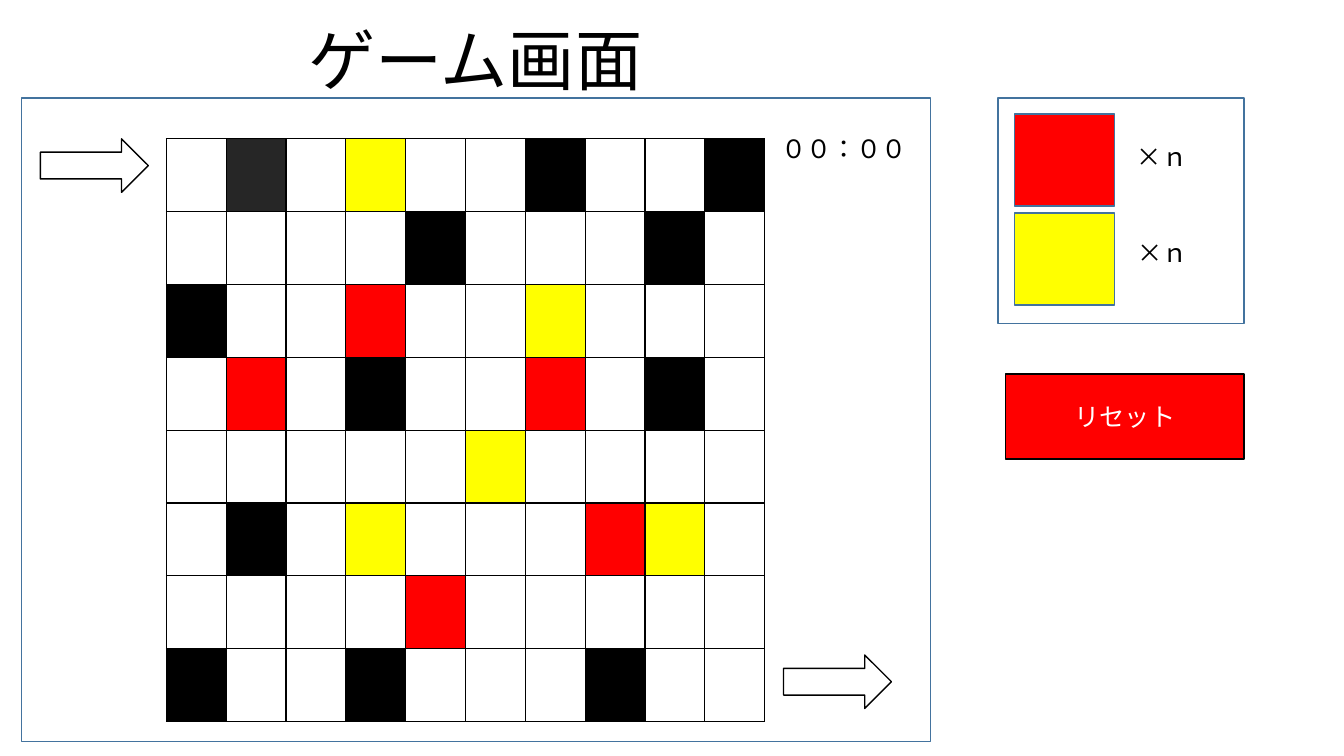
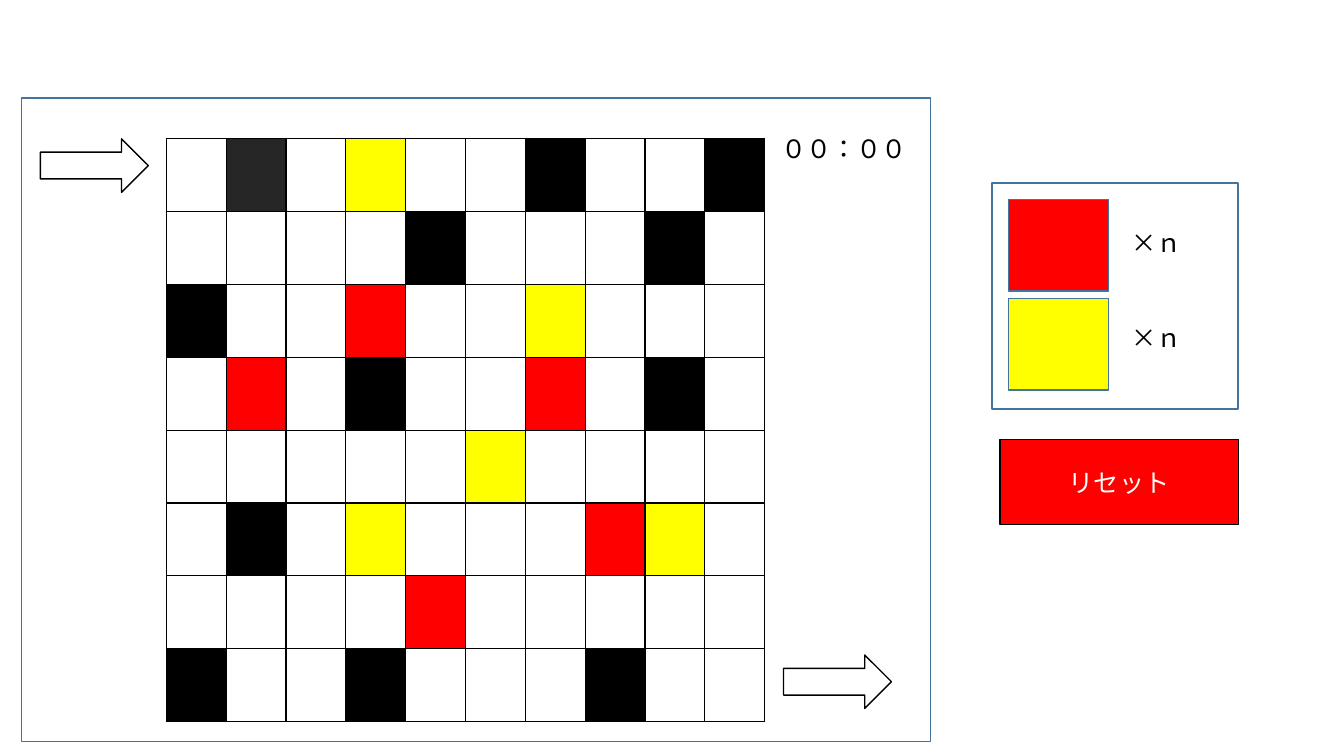
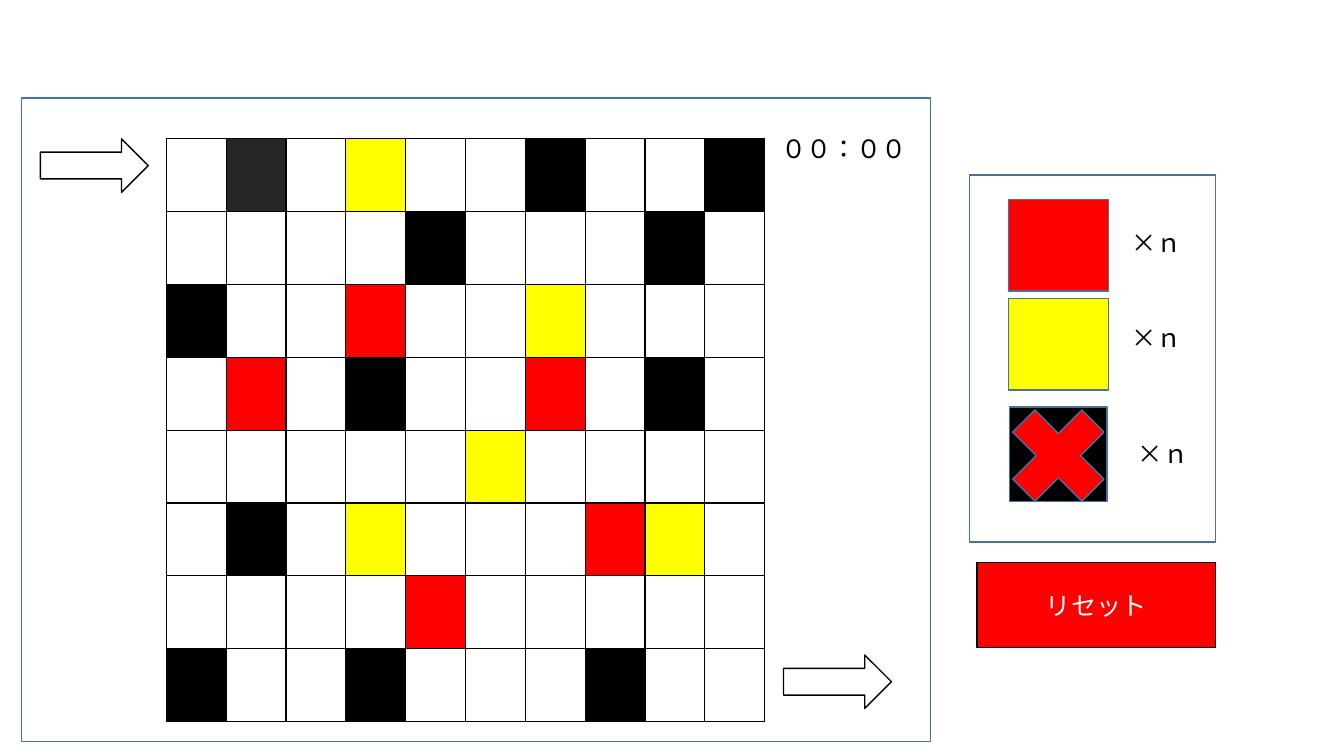
from dataclasses import dataclass
from typing import NamedTuple, Optional

from lxml.etree import SubElement
from pptx import Presentation
from pptx.dml.color import RGBColor
from pptx.enum.shapes import MSO_SHAPE
from pptx.enum.text import MSO_ANCHOR, MSO_AUTO_SIZE, PP_ALIGN
from pptx.oxml.ns import qn
from pptx.shapes.autoshape import Shape
from pptx.slide import Slide
from pptx.text.text import TextFrame
from pptx.util import Emu, Inches, Pt

COLORS = {
    "white": "FFFFFF",
    "black": "000000",
    "charcoal": "262626",
    "red": "FF0000",
    "yellow": "FFFF00",
    "outline": "43739E",
}
FONT = "Noto Sans CJK JP"
SLIDE_WIDTH = Inches(13.33)
SLIDE_HEIGHT = Inches(7.5)
CLOCK_TEXT = "\uff10\uff10\uff1a\uff10\uff10"
COUNT_TEXT = "\u00d7\uff4e"

TILE_COLORS = {".": "white", "D": "charcoal", "B": "black", "R": "red", "Y": "yellow"}
MAZE = (
    ".D.Y..B..B",
    "....B...B.",
    "B..R..Y...",
    ".R.B..R.B.",
    ".....Y....",
    ".B.Y...RY.",
    "....R.....",
    "B..B...B..",
)


class Area(NamedTuple):
    """Left, top, width and height in percent of the slide."""

    left: float
    top: float
    width: float
    height: float

    def to_emu(self) -> tuple[Emu, Emu, Emu, Emu]:
        return (
            Emu(round(SLIDE_WIDTH * self.left / 100)),
            Emu(round(SLIDE_HEIGHT * self.top / 100)),
            Emu(round(SLIDE_WIDTH * self.width / 100)),
            Emu(round(SLIDE_HEIGHT * self.height / 100)),
        )


@dataclass(frozen=True)
class TallyItem:
    color: str
    swatch: Area
    label_left: float
    label_top: float
    cross: Optional[Area] = None


@dataclass(frozen=True)
class GameScreen:
    panel: Area
    items: tuple[TallyItem, ...]
    reset_left: float
    reset_top: float
    title: str = ""


BOARD = Area(1.58, 12.95, 67.65, 85.15)
MAZE_AREA = Area(12.38, 18.36, 44.53, 77.07)
CLOCK = Area(57.38, 16.93, 11.85, 5.6)
TITLE = Area(6, 1.8, 58.73, 12.13)
ENTRANCE = Area(3, 18.36, 8.03, 7.07)
EXIT = ENTRANCE._replace(left=58.3, top=86.64)


def color_of(name: str) -> RGBColor:
    return RGBColor.from_string(COLORS[name])


def add_run(frame: TextFrame, text: str, size: int, color: str, align: PP_ALIGN) -> None:
    paragraph = frame.paragraphs[0]
    paragraph.alignment = align
    run = paragraph.add_run()
    run.text = text
    run.font.size = Pt(size)
    run.font.color.rgb = color_of(color)
    run.font.name = FONT
    SubElement(run._r.get_or_add_rPr(), qn("a:ea"), typeface=FONT)


def add_label(
    slide: Slide, area: Area, text: str, size: int = 18, align: PP_ALIGN = PP_ALIGN.LEFT
) -> None:
    frame = slide.shapes.add_textbox(*area.to_emu()).text_frame
    frame.word_wrap = True
    frame.auto_size = MSO_AUTO_SIZE.SHAPE_TO_FIT_TEXT
    add_run(frame, text, size, "black", align)


def add_block(
    slide: Slide,
    area: Area,
    fill: str,
    line: str = "outline",
    kind: MSO_SHAPE = MSO_SHAPE.RECTANGLE,
) -> Shape:
    block = slide.shapes.add_shape(kind, *area.to_emu())
    block.shadow.inherit = False
    block.fill.solid()
    block.fill.fore_color.rgb = color_of(fill)
    block.line.color.rgb = color_of(line)
    block.line.width = Pt(1)
    return block


def add_maze(slide: Slide) -> None:
    maze = slide.shapes.add_table(len(MAZE), len(MAZE[0]), *MAZE_AREA.to_emu()).table
    maze.first_row = False
    maze.horz_banding = False
    for row, tiles in enumerate(MAZE):
        for column, tile in enumerate(tiles):
            cell = maze.cell(row, column)
            properties = cell._tc.get_or_add_tcPr()
            for side in ("a:lnL", "a:lnR", "a:lnT", "a:lnB"):
                border = SubElement(properties, qn(side), w=str(Pt(1)))
                border_fill = SubElement(border, qn("a:solidFill"))
                SubElement(border_fill, qn("a:srgbClr"), val=COLORS["black"])
            cell.fill.solid()
            cell.fill.fore_color.rgb = color_of(TILE_COLORS[tile])


def add_tally(slide: Slide, screen: GameScreen) -> None:
    add_block(slide, screen.panel, "white")
    for item in screen.items:
        add_block(slide, item.swatch, item.color)
        if item.cross:
            add_block(slide, item.cross, "red", kind=MSO_SHAPE.MATH_MULTIPLY)
        add_label(slide, Area(item.label_left, item.label_top, 8.78, 5.33), COUNT_TEXT)


def add_reset(slide: Slide, left: float, top: float) -> None:
    reset = add_block(slide, Area(left, top, 17.73, 11.2), "red", "black")
    reset.text_frame.vertical_anchor = MSO_ANCHOR.MIDDLE
    add_run(reset.text_frame, "リセット", 18, "white", PP_ALIGN.CENTER)


def add_screen(slide: Slide, screen: GameScreen) -> None:
    add_block(slide, BOARD, "white")
    add_tally(slide, screen)
    add_maze(slide)
    add_label(slide, CLOCK, CLOCK_TEXT)
    for gate in (ENTRANCE, EXIT):
        add_block(slide, gate, "white", "black", MSO_SHAPE.RIGHT_ARROW)
    if screen.title:
        add_label(slide, TITLE, screen.title, 48, PP_ALIGN.CENTER)
    add_reset(slide, screen.reset_left, screen.reset_top)


def color_items(left: float, top: float) -> tuple[TallyItem, ...]:
    red = Area(left, top, 7.43, 12.13)
    yellow = red._replace(top=top + 13.1)
    return (
        TallyItem("red", red, left + 8.38, top + 3),
        TallyItem("yellow", yellow, left + 8.42, yellow.top + 2.53),
    )


MINE = TallyItem(
    "black", Area(75.1, 53.84, 7.28, 12.53), 83.93, 57.33, Area(73.8, 51.47, 9.9, 17.6)
)
SCREENS = (
    GameScreen(
        Area(74.25, 12.95, 18.3, 29.87), color_items(75.48, 15.1), 74.83, 49.5, "ゲーム画面"
    ),
    GameScreen(Area(73.82, 24.22, 18.3, 29.87), color_items(75.05, 26.35), 74.4, 58.16),
    GameScreen(
        Area(72.15, 23.16, 18.3, 48.53), (*color_items(75.05, 26.35), MINE), 72.7, 74.43
    ),
)


def main() -> None:
    deck = Presentation()
    deck.slide_width = SLIDE_WIDTH
    deck.slide_height = SLIDE_HEIGHT
    blank = deck.slide_layouts[6]
    for screen in SCREENS:
        add_screen(deck.slides.add_slide(blank), screen)
    deck.save("out.pptx")


main()
